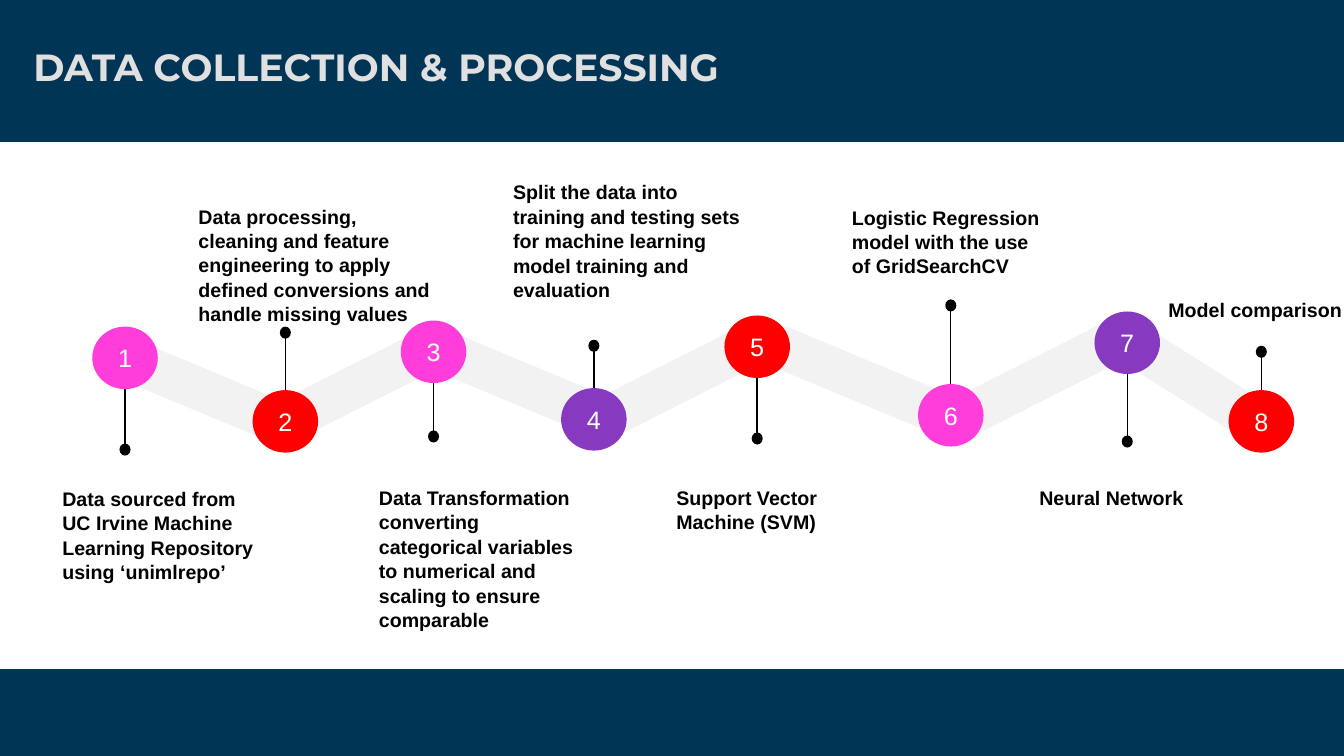
from pptx import Presentation
from pptx.dml.color import RGBColor
from pptx.enum.shapes import MSO_CONNECTOR, MSO_SHAPE
from pptx.enum.text import MSO_ANCHOR, PP_ALIGN
from pptx.oxml.ns import qn
from pptx.util import Inches, Pt
from lxml import etree

RECT, OVAL, BAND = MSO_SHAPE.RECTANGLE, MSO_SHAPE.OVAL, MSO_SHAPE.PARALLELOGRAM
STRAIGHT = MSO_CONNECTOR.STRAIGHT
TOP, MIDDLE = MSO_ANCHOR.TOP, MSO_ANCHOR.MIDDLE
LEFT, CENTER = PP_ALIGN.LEFT, PP_ALIGN.CENTER

COLORS = {"navy": "003555", "white": "FFFFFF", "title": "E0E0E0", "band": "F2F2F2",
          "black": "000000", "pink": "FF3DDB", "red": "FF0000", "purple": "873AC0"}

CIRCLE_W, CIRCLE_H = 0.65, 0.62
DOT_W, DOT_H = 0.11, 0.12
BAND_H = 0.42

# Bands of the zigzag: left, top, width, rotation
BANDS = [
    (1.16, 3.68, 1.77, 22.6), (2.67, 3.61, 1.77, -26.8),
    (4.22, 3.57, 1.77, 22.6), (5.83, 3.58, 1.77, -26.8),
    (7.54, 3.55, 1.93, 22.6), (9.4, 3.56, 1.77, -26.8),
    (10.89, 3.54, 1.77, 32.3),
]

# Steps: centre x, circle top, colour, dot centre y, label box, label text
STEPS = [
    (1.24, 3.24, "pink", 4.46, (0.52, 4.77, 2.06, 1.25),
     "Data sourced from UC Irvine Machine Learning Repository using ‘unimlrepo’"),
    (2.83, 3.87, "red", 3.3, (1.87, 1.97, 2.48, 1.41),
     "Data processing, cleaning and feature engineering to apply defined "
     "conversions and handle missing values"),
    (4.3, 3.18, "pink", 4.33, (3.66, 4.76, 2.13, 1.59),
     "Data Transformation\nconverting categorical variables to numerical and "
     "scaling to ensure comparable"),
    (5.89, 3.85, "purple", 3.43, (4.99, 1.73, 2.36, 1.25),
     "Split the data into training and testing sets for machine learning "
     "model training and evaluation"),
    (7.51, 3.13, "red", 4.35, (6.61, 4.76, 1.79, 0.88),
     "Support Vector Machine (SVM)"),
    (9.43, 3.81, "pink", 3.03, (8.35, 1.98, 2.05, 0.95),
     "Logistic Regression model with the use of GridSearchCV"),
    (11.18, 3.09, "purple", 4.38, (10.21, 4.76, 1.93, 0.88),
     "Neural Network"),
    (12.51, 3.87, "red", 3.49, (11.49, 2.9, 1.84, 0.4),
     "Model comparison"),
]


def rgb(name):
    return RGBColor.from_string(COLORS[name])


def write(tf, text, size=14, color="black", font="Arial", bold=False,
          align=LEFT, anchor=TOP, spacing=1.0, right=0.1):
    """Fill a text frame, one paragraph per line of text."""
    tf.word_wrap = True
    tf.vertical_anchor = anchor
    tf.margin_right = Inches(right)
    for i, line in enumerate(text.split("\n")):
        p = tf.paragraphs[0] if i == 0 else tf.add_paragraph()
        p.alignment = align
        p.line_spacing = spacing
        r = p.add_run()
        r.text = line
        r.font.size = Pt(size)
        r.font.name = font
        r.font.bold = bold
        r.font.color.rgb = rgb(color)


class Deck:
    def __init__(self, prs):
        self.s = prs.slides.add_slide(prs.slide_layouts[5])

    def shape(self, kind, x, y, w, h, fill, line=None, line_width=1):
        sp = self.s.shapes.add_shape(kind, Inches(x), Inches(y), Inches(w), Inches(h))
        sp.shadow.inherit = False
        sp.fill.solid()
        sp.fill.fore_color.rgb = rgb(fill)
        if line:
            sp.line.color.rgb = rgb(line)
            sp.line.width = Pt(line_width)
        else:
            sp.line.fill.background()
        return sp

    def title(self, text, x, y, w, h):
        sp = self.s.shapes.title
        sp.left, sp.top, sp.width, sp.height = Inches(x), Inches(y), Inches(w), Inches(h)
        write(sp.text_frame, text, size=27, color="title", font="Montserrat",
              bold=True, anchor=MIDDLE)
        # Bring the title in front of the navy backdrop
        self.s.shapes._spTree.append(sp._element)

    def band(self, x, y, w, angle):
        sp = self.shape(BAND, x, y, w, BAND_H, "band")
        sp.adjustments[0] = 0.25
        sp.rotation = angle

    def stem(self, x, y1, y2):
        cn = self.s.shapes.add_connector(STRAIGHT, Inches(x), Inches(y1),
                                         Inches(x), Inches(y2))
        cn.line.color.rgb = rgb("black")
        cn.line.width = Pt(1)
        etree.SubElement(cn._element.spPr, qn("a:effectLst"))

    def label(self, text, x, y, w, h):
        tb = self.s.shapes.add_textbox(Inches(x), Inches(y), Inches(w), Inches(h))
        write(tb.text_frame, text, bold=True, spacing=1.04, right=0)

    def step(self, number, cx, top, color, dot_y, box, text):
        edge = top + CIRCLE_H if dot_y > top else top
        self.stem(cx, edge, dot_y)
        self.shape(OVAL, cx - DOT_W / 2, dot_y - DOT_H / 2, DOT_W, DOT_H, "black")
        sp = self.shape(OVAL, cx - CIRCLE_W / 2, top, CIRCLE_W, CIRCLE_H, color)
        write(sp.text_frame, str(number), size=18, color="white",
              align=CENTER, anchor=MIDDLE)
        self.label(text, *box)


def main():
    prs = Presentation()
    prs.slide_width, prs.slide_height = Inches(13.33), Inches(7.5)
    deck = Deck(prs)

    # Backdrop and title
    deck.shape(RECT, 0, 0, 13.33, 7.5, "navy")
    deck.shape(RECT, 0, 1.45, 13.33, 5.15, "white", line="white", line_width=6)
    deck.title("DATA COLLECTION & PROCESSING", 0.23, 0.15, 12.02, 1.01)

    # Zigzag timeline
    for band in BANDS:
        deck.band(*band)
    for number, step in enumerate(STEPS, 1):
        deck.step(number, *step)

    prs.save("out.pptx")


if __name__ == "__main__":
    main()
